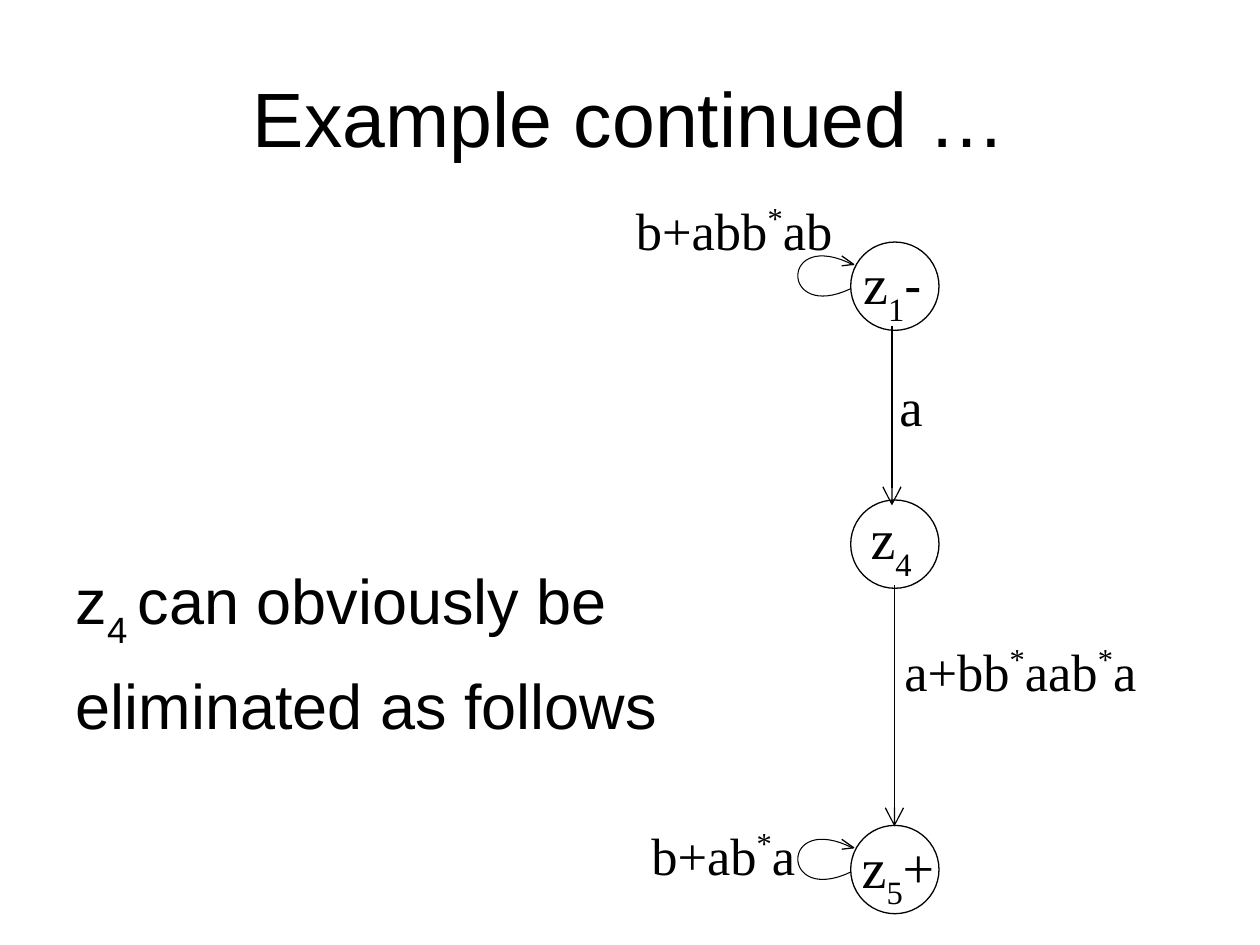
from dataclasses import dataclass
from typing import Optional

from lxml.etree import SubElement
from pptx import Presentation
from pptx.dml.color import RGBColor
from pptx.enum.shapes import MSO_CONNECTOR as Connector, MSO_SHAPE as Shape
from pptx.enum.text import MSO_ANCHOR as Anchor, MSO_AUTO_SIZE as AutoSize, PP_ALIGN as Align
from pptx.oxml.ns import qn
from pptx.util import Cm, Pt

BLACK, WHITE = "000000", "FFFFFF"
SANS, SERIF = "Arial", "Times New Roman"
SUB, SUPER = -30, 40
DIAMETER = 1.78
NODE_LEFT = 17.15
LOOP_STEPS = 32
# Loop outline and arrowhead, in cm from the top left corner of a state
LOOP_CURVE = ((0, 0.94), (-1.43, 1.62), (-1.43, -0.3), (0.05, 0.46))
LOOP_HEAD = ((-0.18, 0.28), (0.06, 0.45), (-0.18, 0.48))


@dataclass
class Part:
    """A piece of text with its own baseline shift or format."""
    text: str
    baseline: int = 0
    size: Optional[float] = None
    font: Optional[str] = None


@dataclass
class State:
    """A state of the automaton; lengths in cm."""
    top: float
    text_left: float
    text_top: float
    name: list[Part]
    has_loop: bool = False


@dataclass
class Transition:
    """A downward arrow between two states; lengths in cm."""
    x: float
    start: float
    end: float


@dataclass
class Label:
    """An expression beside a transition; lengths in cm."""
    left: float
    top: float
    width: float
    expression: list[Part]


STATES = [
    State(16.64, 17.12, 16.65, [Part("z"), Part("5", SUB), Part("+")], True),
    State(10.08, 17.3, 10.02, [Part("z"), Part("4", SUB)]),
    State(4.88, 17.15, 4.89, [Part("z"), Part("1", SUB), Part("-", 0, 30, SANS)], True),
]
TRANSITIONS = [Transition(17.98, 6.58, 10.19), Transition(18.03, 11.79, 16.66)]
LABELS = [
    Label(12.57, 3.86, 5.08, [Part("b+abb"), Part("*", SUPER), Part("ab")]),
    Label(17.88, 7.42, 1.9, [Part("a")]),
    Label(12.88, 16.46, 5.87, [Part("b+ab"), Part("*", SUPER), Part("a")]),
    Label(17.98, 12.75, 5.92, [Part("a+bb"), Part("*", SUPER), Part("aab"),
                               Part("*", SUPER), Part("a")]),
]
REMARK = [
    [Part("z"), Part("4 ", SUB), Part("can obviously be")],
    [Part("eliminated as follows")],
]


def paint(target, color: str) -> None:
    """Give a fill or font the colour of a hex string."""
    target.rgb = RGBColor.from_string(color)


def write(paragraph, parts: list[Part], *, size: float, font: str = SERIF,
          color: str = BLACK, align=Align.LEFT, before: float = 0) -> None:
    """Fill a paragraph with formatted runs."""
    paragraph.alignment = align
    paragraph.space_before = Pt(before)
    for part in parts:
        run = paragraph.add_run()
        run.text = part.text
        run.font.size = Pt(part.size or size)
        run.font.name = part.font or font
        paint(run.font.color, color)
        if part.baseline:
            run.font._element.set("baseline", str(part.baseline * 1000))


def place(shape, left: float, top: float, width: float, height: float) -> None:
    """Move and size a shape in cm."""
    shape.left, shape.top = Cm(left), Cm(top)
    shape.width, shape.height = Cm(width), Cm(height)


def stroke(line, width: float = 0.74) -> None:
    """Make an outline thin and black."""
    line.width = Pt(width)
    line.fill.solid()
    paint(line.fill.fore_color, BLACK)


def add_text(shapes, left: float, top: float, width: float, height: float,
             parts: list[Part], **style) -> None:
    """Add a text box holding one paragraph."""
    frame = shapes.add_textbox(Cm(left), Cm(top), Cm(width), Cm(height)).text_frame
    frame.word_wrap = True
    write(frame.paragraphs[0], parts, **style)


def add_path(shapes, points: list[tuple[float, float]], width: float) -> None:
    """Add an open outline through points in cm."""
    first, *rest = [(Cm(x), Cm(y)) for x, y in points]
    builder = shapes.build_freeform(*first)
    builder.add_line_segments(rest, close=False)
    path = builder.convert_to_shape()
    path.shadow.inherit = False
    path.fill.background()
    stroke(path.line, width)


def bezier(t: float, axis: int) -> float:
    """Return one coordinate of the loop curve at t."""
    weights = ((1 - t) ** 3, 3 * t * (1 - t) ** 2, 3 * t * t * (1 - t), t ** 3)
    return sum(w * point[axis] for w, point in zip(weights, LOOP_CURVE))


def add_loop(shapes, top: float) -> None:
    """Add the self transition of a state."""
    steps = [i / LOOP_STEPS for i in range(LOOP_STEPS + 1)]
    curve = [(bezier(t, 0), bezier(t, 1)) for t in steps]
    for outline, width in ((curve, 0.6), (LOOP_HEAD, 0.74)):
        add_path(shapes, [(NODE_LEFT + x, top + y) for x, y in outline], width)


def add_state(shapes, state: State) -> None:
    """Add a state with its name and loop."""
    circle = shapes.add_shape(Shape.OVAL, Cm(NODE_LEFT), Cm(state.top),
                              Cm(DIAMETER), Cm(DIAMETER))
    circle.shadow.inherit = False
    circle.fill.solid()
    paint(circle.fill.fore_color, WHITE)
    stroke(circle.line)
    add_text(shapes, state.text_left, state.text_top, 2.49, 1.5, state.name, size=32)
    if state.has_loop:
        add_loop(shapes, state.top)


def add_transition(shapes, transition: Transition) -> None:
    """Add an arrow from one state down to the next."""
    x = Cm(transition.x)
    arrow = shapes.add_connector(Connector.STRAIGHT, x, Cm(transition.start),
                                 x, Cm(transition.end))
    stroke(arrow.line)
    properties = arrow._element.spPr
    SubElement(properties.find(qn("a:ln")), qn("a:tailEnd"), type="arrow", w="lg", len="lg")
    SubElement(properties, qn("a:effectLst"))


def fill_title(title) -> None:
    """Place and write the title."""
    place(title, 1.27, 0.76, 22.86, 3.18)
    title.text_frame.vertical_anchor = Anchor.MIDDLE
    write(title.text_frame.paragraphs[0], [Part("Example continued …")],
          size=44, font=SANS, align=Align.CENTER)


def fill_remark(body) -> None:
    """Place and write the remark without bullets."""
    place(body, 1.27, 11.2, 22.86, 5.82)
    frame = body.text_frame
    frame.auto_size = AutoSize.NONE
    for index, parts in enumerate(REMARK):
        paragraph = frame.add_paragraph() if index else frame.paragraphs[0]
        write(paragraph, parts, size=36, font=SANS, before=9)
        properties = paragraph._p.get_or_add_pPr()
        properties.set("marL", str(Cm(0.97)))
        properties.set("indent", str(Cm(-0.97)))
        SubElement(properties, qn("a:buNone"))


def main() -> None:
    """Build and save the slide."""
    deck = Presentation()
    deck.slide_width, deck.slide_height = Cm(25.4), Cm(19.05)
    slide = deck.slides.add_slide(deck.slide_layouts[1])
    shapes = slide.shapes
    fill_title(shapes.title)
    fill_remark(slide.placeholders[1])
    for state in STATES:
        add_state(shapes, state)
    for transition in TRANSITIONS:
        add_transition(shapes, transition)
    for label in LABELS:
        add_text(shapes, label.left, label.top, label.width, 1.42, label.expression, size=30)
    deck.save("out.pptx")


main()
